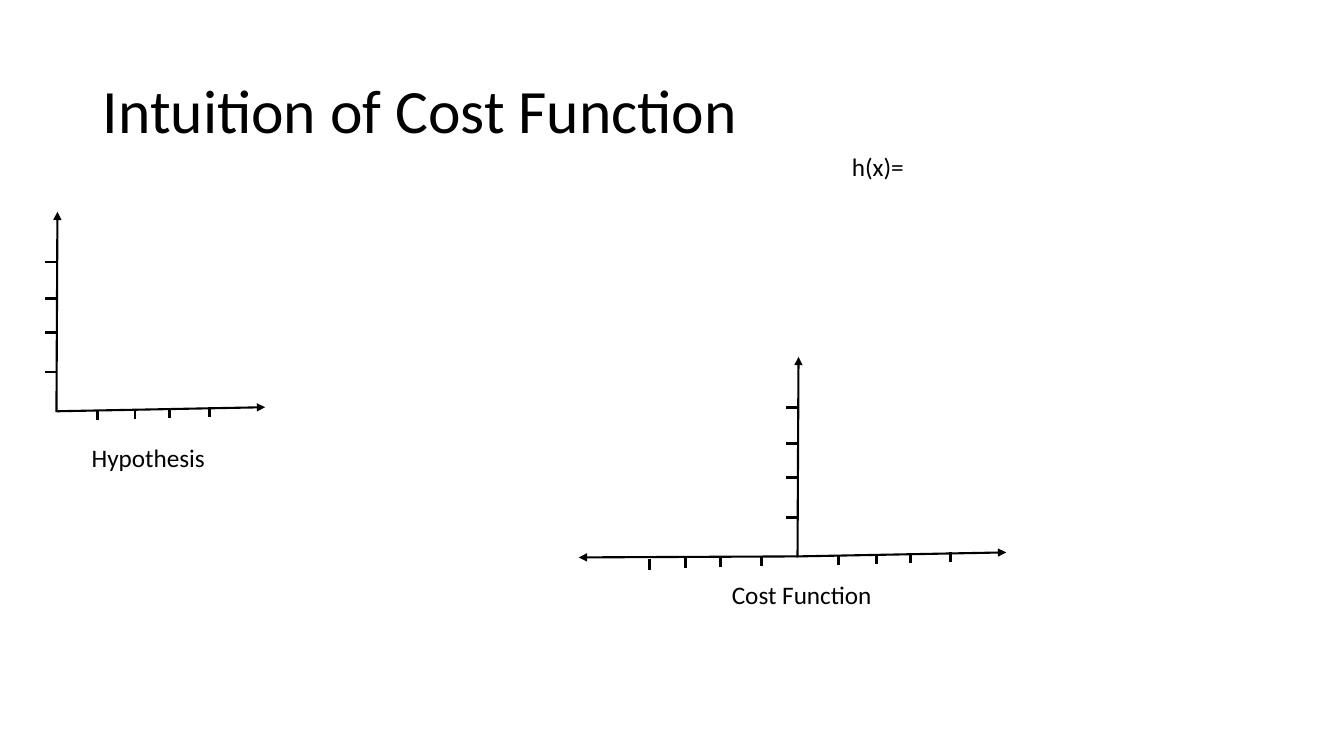
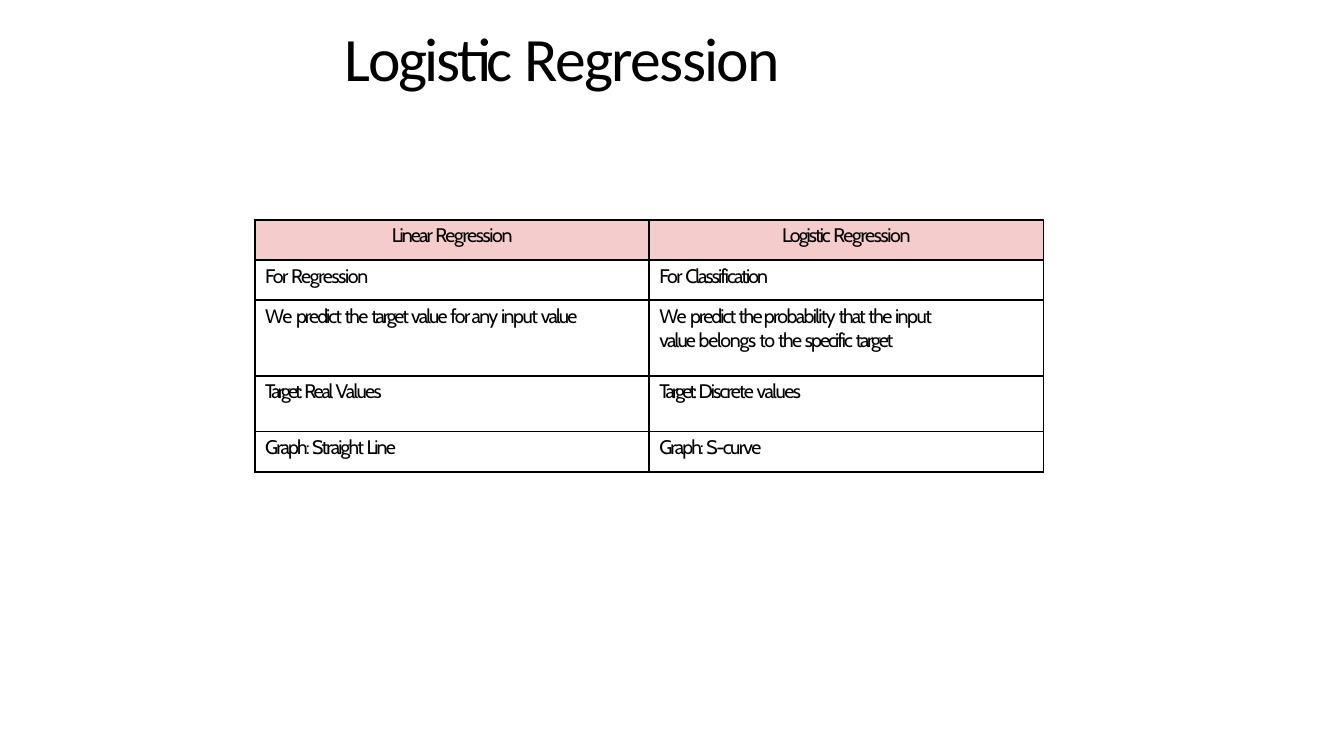
"""Build two slides on the cost function and on logistic regression."""
import itertools
from dataclasses import dataclass
from typing import NamedTuple

import pptx
import pptx.dml.color
import pptx.enum.shapes
import pptx.enum.text
import pptx.oxml
import pptx.oxml.ns
import pptx.slide
import pptx.table
import pptx.text.text
import pptx.util

EMU_PER_PX = 9144
COLORS = {"ink": "000000", "paper": "FFFFFF", "header": "F4CCCC"}
TITLE_FONT, TABLE_FONT = "Calibri", "Cabin"
TITLE_SIZE, LABEL_SIZE, TABLE_SIZE = 44, 18, 14
AXIS_WIDTH, TICK_WIDTH, BORDER_WIDTH = 1.5, 2, 1.5
TICK_LENGTH = 10

RIGHT_TICKS = (40, 77, 111, 151)
LEFT_TICKS = (-37, -77, -112, -148)
UPPER_TICKS = (-39, -78, -112, -148)

TITLE_TRACKING = {"Logistic": -1.8, "Regression": -1.2}
TABLE_TRACKING = {
    "Linear": -1.4, "Logistic": -1.4, "Regression": -1, "For": -1.2,
    "Classification": -1.4, "We": -0.7, "predict": -1.4, "the": -1.2,
    "target": -1.6, "value": -1.3, "for": -1.2, "any": -1.2, "input": -1.1,
    "probability": -1.2, "that": -1.4, "belongs": -0.9, "to": -1.1,
    "specific": -1.4, "Target:": -2.1, "Real": -1.6, "Values": -1.2,
    "Discrete": -1.3, "values": -1.1, "Graph:": -1.4, "Straight": -1.3,
    "Line": -1.4, "S-curve": -1.2,
}

COLUMN_WIDTH = 391
ROW_HEIGHTS = (40, 40, 75, 55, 40)
COMPARISON = (
    ("Linear Regression", "Logistic Regression"),
    ("For Regression", "For Classification"),
    ("We predict the target value for any input value",
     "We predict the probability that the input value belongs to the specific target"),
    ("Target: Real Values", "Target: Discrete values"),
    ("Graph: Straight Line", "Graph: S-curve"),
)


class Point(NamedTuple):
    """A place on the slide in px."""
    x: int
    y: int


class Area(NamedTuple):
    """A rectangle on the slide in px."""
    left: int
    top: int
    width: int
    height: int


@dataclass(frozen=True)
class Label:
    """A short text and the corner of its box."""
    text: str
    corner: Point


@dataclass(frozen=True)
class Axes:
    """A pair of axes around an origin, with a caption."""
    origin: Point
    caption: Label
    two_sided: bool = False


def px(length: int) -> pptx.util.Emu:
    """Turn px into EMU."""
    return pptx.util.Emu(length * EMU_PER_PX)


def rgb(name: str) -> pptx.dml.color.RGBColor:
    """Look up a colour by name."""
    return pptx.dml.color.RGBColor.from_string(COLORS[name])


def write(para: pptx.text.text._Paragraph, text: str, font: str, size: int,
          tracking: dict[str, float] | None = None) -> None:
    """Write text as runs of equal letter spacing."""
    def spacing(word: str) -> float:
        return (tracking or {}).get(word.strip(), 0)

    words = text.split(" ")
    pieces = [f"{word} " for word in words[:-1]] + words[-1:]
    for space, group in itertools.groupby(pieces, spacing):
        span = para.add_run()
        span.text = "".join(group)
        span.font.name, span.font.size = font, pptx.util.Pt(size)
        span.font.color.rgb = rgb("ink")
        if space:
            span.font._element.set("spc", str(round(space * 100)))


def add_page(deck: pptx.presentation.Presentation, title: str, area: Area, inset: int,
             tracking: dict[str, float] | None = None) -> pptx.slide.Slide:
    """Add a slide and place its title."""
    page = deck.slides.add_slide(deck.slide_layouts[5])
    box = page.shapes.title
    box.left, box.top, box.width, box.height = map(px, area)
    frame = box.text_frame
    frame.auto_size = pptx.enum.text.MSO_AUTO_SIZE.NONE
    frame.vertical_anchor = pptx.enum.text.MSO_ANCHOR.MIDDLE
    frame.margin_left = frame.margin_right = px(inset)
    frame.margin_top = frame.margin_bottom = px(inset // 2)
    para = frame.paragraphs[0]
    para.alignment = pptx.enum.text.PP_ALIGN.LEFT
    para.line_spacing = 0.9
    write(para, title, TITLE_FONT, TITLE_SIZE, tracking)
    return page


def add_label(page: pptx.slide.Slide, label: Label) -> None:
    """Add a text box for a label."""
    box = page.shapes.add_textbox(*map(px, Area(*label.corner, 162, 40)))
    box.text_frame.word_wrap = True
    write(box.text_frame.paragraphs[0], label.text, TITLE_FONT, LABEL_SIZE)


def add_line(page: pptx.slide.Slide, start: Point, end: Point, arrow: bool = False) -> None:
    """Draw an axis with an arrowhead, or a plain tick."""
    line = page.shapes.add_connector(
        pptx.enum.shapes.MSO_CONNECTOR.STRAIGHT, *map(px, (*start, *end)))
    line.line.color.rgb = rgb("ink")
    line.line.width = pptx.util.Pt(AXIS_WIDTH if arrow else TICK_WIDTH)
    properties = line.element.spPr
    if arrow:
        head = pptx.oxml.parse_xml(
            f'<a:tailEnd {pptx.oxml.ns.nsdecls("a")} type="triangle"/>')
        properties.find(pptx.oxml.ns.qn("a:ln")).append(head)
    properties.append(pptx.oxml.parse_xml(f'<a:effectLst {pptx.oxml.ns.nsdecls("a")}/>'))


def add_axes(page: pptx.slide.Slide, axes: Axes) -> None:
    """Draw the axes, their ticks and their caption."""
    x, y = axes.origin
    add_line(page, Point(x - 1, y + 1), Point(x, y - 198), arrow=True)
    add_line(page, axes.origin, Point(x + 206, y - 4), arrow=True)
    ticks = [Point(x + offset, y - 1 - index) for index, offset in enumerate(RIGHT_TICKS)]
    if axes.two_sided:
        add_line(page, axes.origin, Point(x - 218, y + 1), arrow=True)
        ticks += [Point(x + offset, y + index) for index, offset in enumerate(LEFT_TICKS)]
    for tick in ticks:
        add_line(page, tick, Point(tick.x, tick.y + TICK_LENGTH))
    for offset in UPPER_TICKS:
        add_line(page, Point(x - 12, y + offset), Point(x - 1, y + offset))
    add_label(page, axes.caption)


def add_borders(cell: pptx.table._Cell) -> None:
    """Draw a line on each side of a cell."""
    properties = cell._tc.get_or_add_tcPr()
    for side in "LRTB":
        properties.append(pptx.oxml.parse_xml(
            f'<a:ln{side} {pptx.oxml.ns.nsdecls("a")} w="{pptx.util.Pt(BORDER_WIDTH)}">'
            f'<a:solidFill><a:srgbClr val="{COLORS["ink"]}"/></a:solidFill></a:ln{side}>'))


def add_comparison(page: pptx.slide.Slide, corner: Point) -> None:
    """Add the table that compares both kinds of regression."""
    area = Area(*corner, 2 * COLUMN_WIDTH, sum(ROW_HEIGHTS))
    table = page.shapes.add_table(len(COMPARISON), 2, *map(px, area)).table
    table.first_row = table.horz_banding = False
    for column in table.columns:
        column.width = px(COLUMN_WIDTH)
    for row_index, (height, texts) in enumerate(zip(ROW_HEIGHTS, COMPARISON)):
        table.rows[row_index].height = px(height)
        header = row_index == 0
        for column_index, text in enumerate(texts):
            cell = table.cell(row_index, column_index)
            add_borders(cell)
            cell.fill.solid()
            cell.fill.fore_color.rgb = rgb("header" if header else "paper")
            cell.margin_left = px(0 if header else 10)
            cell.margin_right = px(85 if column_index and not header else 0)
            cell.margin_top, cell.margin_bottom = px(4), px(0)
            para = cell.text_frame.paragraphs[0]
            if header:
                para.alignment = pptx.enum.text.PP_ALIGN.CENTER
            write(para, text, TABLE_FONT, TABLE_SIZE, TABLE_TRACKING)


def main() -> None:
    """Build and save the deck."""
    deck = pptx.Presentation()
    deck.slide_width, deck.slide_height = px(1333), px(750)

    page = add_page(deck, "Intuition of Cost Function", Area(92, 40, 1150, 145), 10)
    add_label(page, Label("h(x)=", Point(835, 145)))
    add_axes(page, Axes(Point(57, 408), Label("Hypothesis", Point(81, 434))))
    add_axes(page, Axes(Point(792, 552), Label("Cost Function", Point(716, 570)), True))

    page = add_page(deck, "Logistic Regression", Area(342, 24, 516, 75), 0, TITLE_TRACKING)
    add_comparison(page, Point(253, 218))
    deck.save("out.pptx")


if __name__ == "__main__":
    main()
